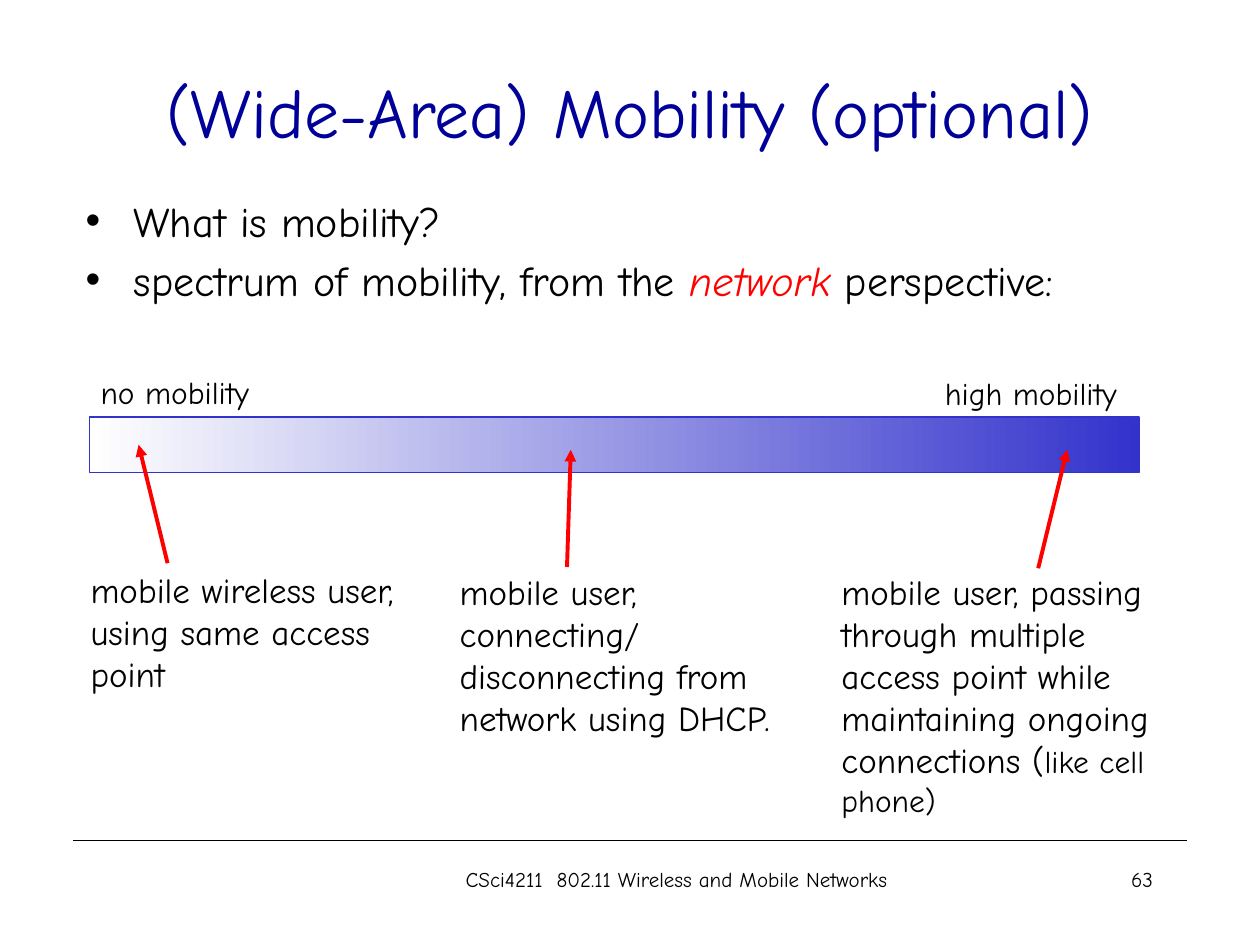
from pptx import Presentation
from pptx.util import Inches, Pt
from pptx.dml.color import RGBColor as RGB
from pptx.enum.shapes import MSO_CONNECTOR as Conn, MSO_SHAPE as Shape
from pptx.enum.text import MSO_ANCHOR as Anchor, MSO_AUTO_SIZE as Auto, PP_ALIGN as Align
from pptx.oxml.ns import qn
from lxml.etree import SubElement as Sub


class Theme:
    font = "Comic Neue"
    ink, navy, blue, red, white = (
        RGB.from_string(c) for c in ("000000", "000099", "3333CC", "FF0000", "FFFFFF"))
    title, body, note, label, foot = 40, 24, 20, 18, 12
    thin, thick = 0.75, 2.25


# Content: a paragraph is a list of (text, size, colour, italic) runs
def plain(text, size, color=Theme.ink):
    return [(text, size, color, False)]


TITLE = [plain("(Wide-Area) Mobility (optional)", Theme.title, Theme.navy)]
BODY = [
    plain("What is mobility?", Theme.body),
    [("spectrum of mobility, from the ", Theme.body, Theme.ink, False),
     ("network", Theme.body, Theme.red, True),
     (" perspective:", Theme.body, Theme.ink, False)],
]
BAR = (0.71, 3.31, 8.33, 0.44)
# box, paragraphs, wrap, alignment
TEXTS = [
    ((0.7, 2.91, 1.47, 0.4), [plain("no mobility", Theme.label)], False, Align.LEFT),
    ((7.4, 2.92, 1.69, 0.4), [plain("high mobility", Theme.label)], False, Align.LEFT),
    ((0.62, 4.46, 2.98, 1.1),
     [plain(line, Theme.note) for line in
      ("mobile wireless user,", "using same access", "point")], False, Align.LEFT),
    ((3.55, 4.48, 2.66, 1.77),
     [plain("mobile user, connecting/ disconnecting from network using DHCP.", Theme.note)],
     True, Align.LEFT),
    ((6.58, 4.48, 2.94, 2.07),
     [plain("mobile user, passing through multiple access point while "
            "maintaining ongoing connections (", Theme.note)
      + plain("like cell phone)", Theme.label)], True, Align.LEFT),
    ((3.33, 6.83, 4.08, 0.5),
     [plain("CSci4211  802.11 Wireless and Mobile Networks", Theme.foot)], True, Align.CENTER),
    ((7.17, 6.83, 2.08, 0.5), [plain("63", Theme.foot)], True, Align.RIGHT),
]
RULE = (0.58, 6.67, 9.42, 6.67)
ARROWS = [(1.33, 4.47, 1.1, 3.53), (4.5, 4.5, 4.53, 3.57), (8.24, 4.51, 8.47, 3.57)]


# Helpers
def place(shape, box):
    shape.left, shape.top, shape.width, shape.height = map(Inches, box)


def write(frame, paras, align):
    frame.text = "\n".join("".join(run[0] for run in para) for para in paras)
    for para, runs in zip(frame.paragraphs, paras):
        para.alignment = align
        para.text = ""
        for text, size, color, slant in runs:
            run = para.add_run()
            run.text = text
            font = run.font
            font.name, font.size, font.italic = Theme.font, Pt(size), slant
            font.color.rgb = color


def bullet(para, indent):
    props = para._p.get_or_add_pPr()
    props.set("marL", str(indent))
    props.set("indent", str(-indent))
    Sub(props, qn("a:buFont"), typeface="Arial")
    Sub(props, qn("a:buChar"), char="•")


def line(slide, ends, color, width, arrow=False):
    link = slide.shapes.add_connector(Conn.STRAIGHT, *map(Inches, ends))
    link.line.color.rgb = color
    link.line.width = Pt(width)
    if arrow:
        Sub(link.line._get_or_add_ln(), qn("a:tailEnd"), type="triangle")
    Sub(link._element.spPr, qn("a:effectLst"))


def main():
    deck = Presentation()
    deck.slide_width, deck.slide_height = Inches(10), Inches(7.5)
    slide = deck.slides.add_slide(deck.slide_layouts[1])

    # Footer rule
    line(slide, RULE, Theme.ink, Theme.thin)

    # Title and list
    title, body = slide.shapes.title, slide.placeholders[1]
    place(title, (0.75, 0.25, 8.5, 1.25))
    place(body, (0.58, 1.5, 8.97, 1.05))
    write(title.text_frame, TITLE, Align.CENTER)
    write(body.text_frame, BODY, Align.LEFT)
    title.text_frame.vertical_anchor = Anchor.MIDDLE
    body.text_frame.vertical_anchor = Anchor.TOP
    for shape in (title, body):
        shape.text_frame.auto_size = Auto.NONE
    for para in body.text_frame.paragraphs:
        para.space_before = Pt(Theme.body * 0.2)
        bullet(para, Inches(0.38))

    # Mobility spectrum
    bar = slide.shapes.add_shape(Shape.RECTANGLE, *map(Inches, BAR))
    bar.shadow.inherit = False
    bar.fill.gradient()
    bar.fill.gradient_angle = 0
    for stop, pos, color in zip(bar.fill.gradient_stops, (0, 1), (Theme.white, Theme.blue)):
        stop.position, stop.color.rgb = pos, color
    bar.line.color.rgb = Theme.blue
    bar.line.width = Pt(Theme.thin)

    # Labels, notes and footer
    for box, paras, wrap, align in TEXTS:
        frame = slide.shapes.add_textbox(*map(Inches, box)).text_frame
        frame.word_wrap = wrap
        write(frame, paras, align)

    # Arrows from notes to spectrum
    for ends in ARROWS:
        line(slide, ends, Theme.red, Theme.thick, arrow=True)

    deck.save("out.pptx")


if __name__ == "__main__":
    main()
